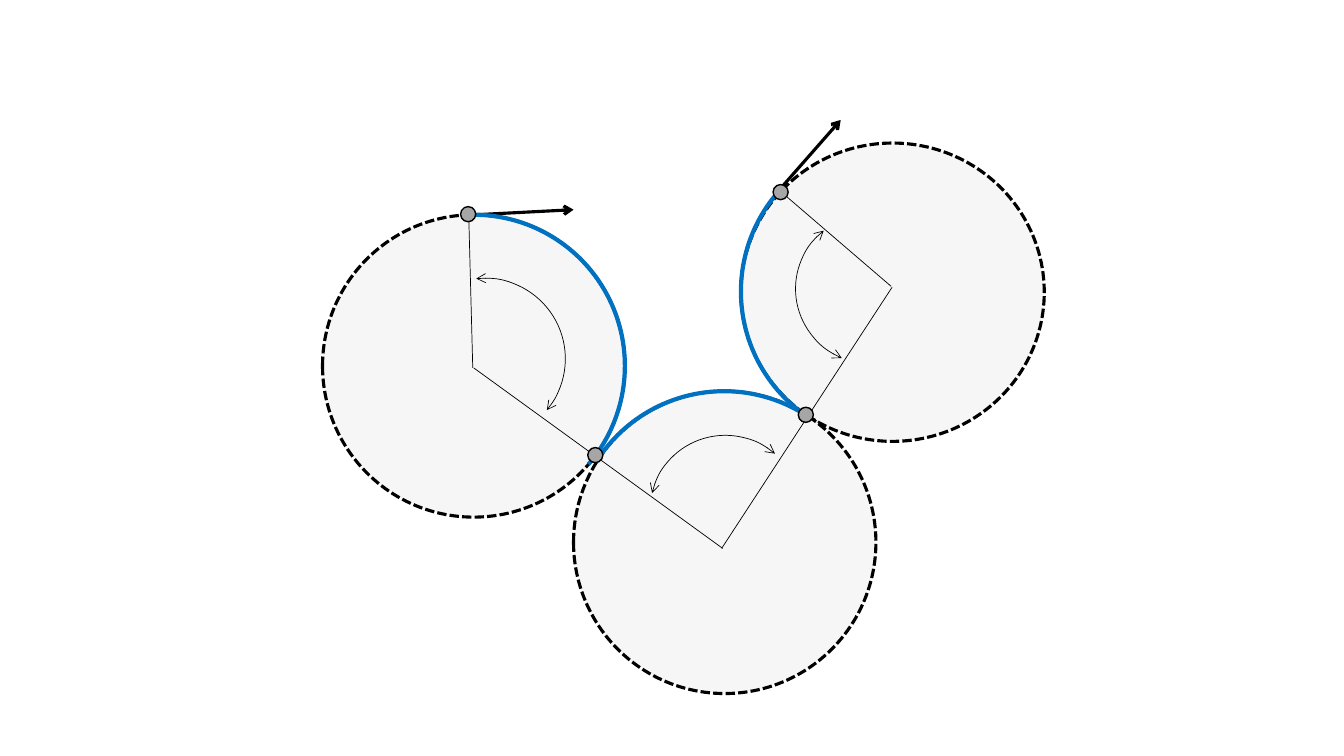
from lxml import etree
from pptx import Presentation
from pptx.dml.color import RGBColor
from pptx.enum import dml, shapes as kinds
from pptx.oxml.ns import qn
from pptx.util import Pt

COLORS = {"line": "000000", "disc": "F6F6F6", "path": "0070C0", "dot": "A6A6A6"}
DOT_SIZE = 10.8

# Box: left, top, width, height. All other places are offsets from its corner.
# Sweep: rotation, start angle, end angle, in degrees.
TURNS = [
    {
        "box": (230.4, 153.4, 216, 216),
        "disc": (0, 0, 216, 216),
        "path_sweep": (0, 270, 40.6),
        "angle": (58.3, 45.3, 115.2, 115.2),
        "angle_sweep": (354, 270, 45.53),
        "spokes": [(104.4, 0, 107.3, 109.4), (108, 109.4, 285.8, 238.3)],
        "headings": [(109.4, 0, 179.3, -3.6)],
        "dots": [(98.6, -5.8), (189.4, 166.3)],
    },
    {
        "box": (529.2, 100.1, 216, 216),
        "disc": (0, 2.1, 216.7, 213.1),
        "path_sweep": (216, 270, 6.78),
        "angle": (38.9, 53.3, 108, 106.6),
        "angle_sweep": (203, 270, 28.15),
        "spokes": [(108, 105.1, -13.7, 291.6), (31, 38.9, 107.3, 104.4)],
        "headings": [(24.5, 38.9, 71.3, -14.4)],
        "dots": [(23, 31.7), (41, 190.8)],
    },
    {
        "box": (409.3, 279.4, 216, 216),
        "disc": (0.4, 0, 216, 216),
        "path_sweep": (306, 268.3, 356.84),
        "angle": (55.8, 30.9, 106.6, 108),
        "angle_sweep": (283, 270, 28.15),
        "spokes": [],
        "headings": [],
        "dots": [],
    },
]


def color(name):
    return RGBColor.from_string(COLORS[name])


def style_line(shape, width, name="line", arrows=()):
    shape.line.color.rgb = color(name)
    shape.line.width = Pt(width)
    outline = shape.element.spPr.find(qn("a:ln"))
    for end in arrows:
        etree.SubElement(outline, qn(f"a:{end}"), type="arrow")


def add_shape(group, kind, box, place, fill=None):
    left, top, width, height = place
    shape = group.shapes.add_shape(
        kind, Pt(box[0] + left), Pt(box[1] + top), Pt(width), Pt(height))
    shape.shadow.inherit = False
    if fill:
        shape.fill.solid()
        shape.fill.fore_color.rgb = color(fill)
    else:
        shape.fill.background()
    return shape


def add_arc(group, box, place, sweep):
    arc = add_shape(group, kinds.MSO_SHAPE.ARC, box, place)
    arc.rotation, start, end = sweep
    # Arc adjustments count 60000 units a degree, scaled by 100000
    arc.adjustments[0] = start * 0.6
    arc.adjustments[1] = end * 0.6
    return arc


def add_line(group, box, ends, width, arrows=()):
    x1, y1, x2, y2 = ends
    connector = group.shapes.add_connector(
        kinds.MSO_CONNECTOR.STRAIGHT, Pt(box[0] + x1), Pt(box[1] + y1),
        Pt(box[0] + x2), Pt(box[1] + y2))
    style_line(connector, width, arrows=arrows)
    etree.SubElement(connector.element.spPr, qn("a:effectLst"))


def draw_disc(group, box, turn):
    disc = add_shape(group, kinds.MSO_SHAPE.OVAL, box, turn["disc"], "disc")
    style_line(disc, 2.25)
    disc.line.dash_style = dml.MSO_LINE.SQUARE_DOT


def draw_turn(group, box, turn):
    # Heading arrow and radii
    for ends in turn["headings"]:
        add_line(group, box, ends, 2.25, ["tailEnd"])
    for ends in turn["spokes"]:
        add_line(group, box, ends, 0.5)
    # Turning angle
    angle = add_arc(group, box, turn["angle"], turn["angle_sweep"])
    style_line(angle, 0.5, arrows=["headEnd", "tailEnd"])
    # Travelled part of the circle
    travelled = add_arc(group, box, (0, 0, box[2], box[3]), turn["path_sweep"])
    style_line(travelled, 3, "path")


def draw_dots(group, box, turn):
    for left, top in turn["dots"]:
        place = (left, top, DOT_SIZE, DOT_SIZE)
        dot = add_shape(group, kinds.MSO_SHAPE.OVAL, box, place, "dot")
        style_line(dot, 1)


def main():
    presentation = Presentation()
    presentation.slide_width, presentation.slide_height = Pt(960), Pt(540)
    slide = presentation.slides.add_slide(presentation.slide_layouts[6])
    group = slide.shapes.add_group_shape()
    # Layers from back to front
    for draw in (draw_disc, draw_turn, draw_dots):
        for turn in TURNS:
            draw(group, turn["box"], turn)
    presentation.save("out.pptx")


if __name__ == "__main__":
    main()
